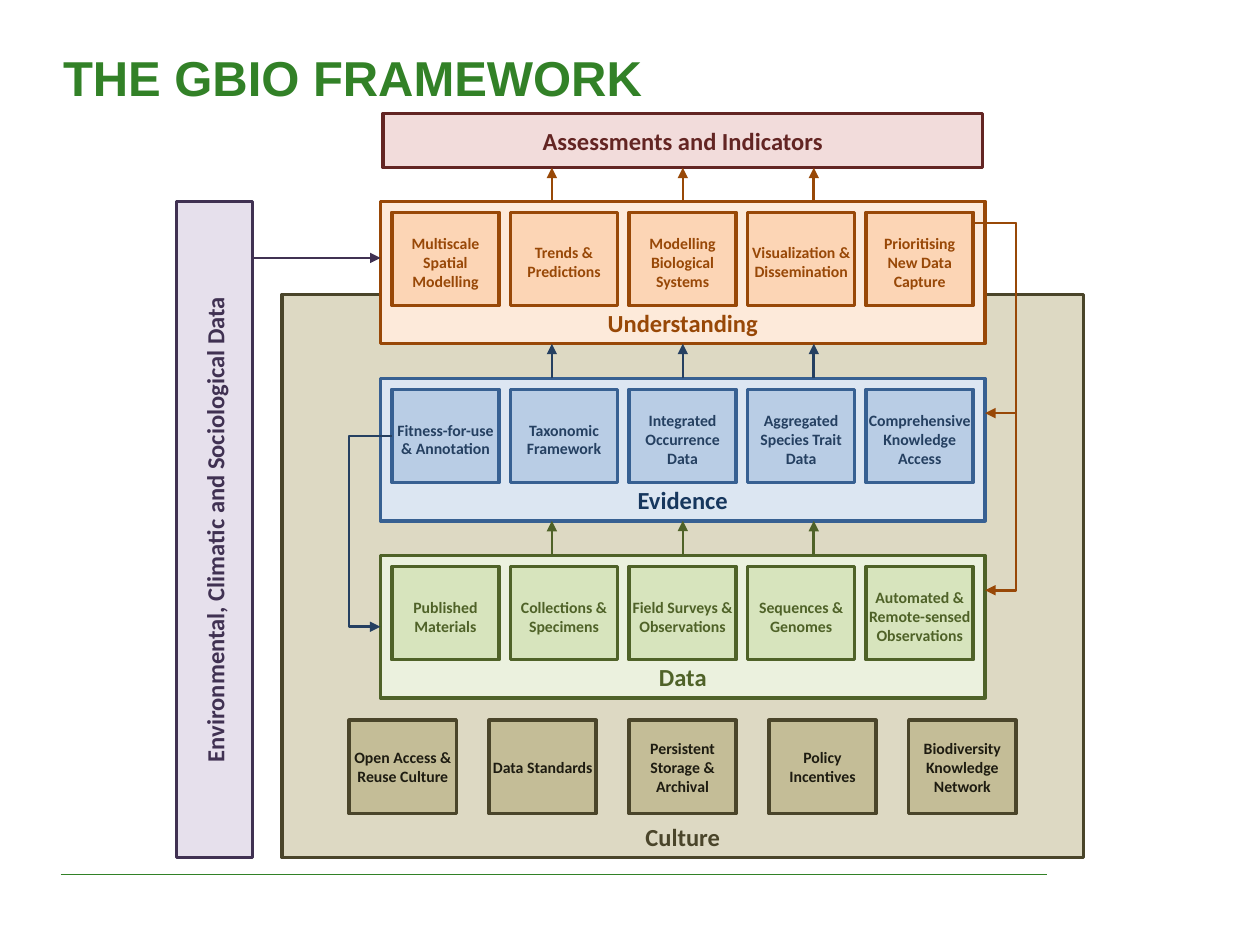
from dataclasses import dataclass

from lxml import etree
from pptx import Presentation
from pptx.dml.color import RGBColor
from pptx.enum.shapes import MSO_CONNECTOR, MSO_SHAPE
from pptx.enum.text import MSO_ANCHOR, PP_ALIGN
from pptx.oxml.ns import qn
from pptx.util import Cm, Pt

RECTANGLE = MSO_SHAPE.RECTANGLE
STRAIGHT, ELBOW = MSO_CONNECTOR.STRAIGHT, MSO_CONNECTOR.ELBOW
LEFT, CENTER = PP_ALIGN.LEFT, PP_ALIGN.CENTER
MIDDLE, BOTTOM = MSO_ANCHOR.MIDDLE, MSO_ANCHOR.BOTTOM
SITE_TOP, SITE_LEFT, SITE_BOTTOM = 0, 1, 2


@dataclass(frozen=True)
class Palette:
    panel: str
    card: str
    line: str
    label: str
    card_text: str


@dataclass(frozen=True)
class Theme:
    title_font: str = "Arial"
    body_font: str = "Calibri"
    title_size: float = 28
    label_size: float = 14
    card_size: float = 9
    box_line: float = 2
    arrow_line: float = 1.5
    rule_line: float = 0.25
    green: str = "328127"
    understanding: Palette = Palette("FDEADA", "FCD5B5", "984807", "984807", "984807")
    evidence: Palette = Palette("DCE6F2", "B9CDE5", "376092", "17375E", "254061")
    data: Palette = Palette("EBF1DE", "D7E4BD", "4F6228", "4F6228", "4F6228")
    culture: Palette = Palette("DDD9C3", "C4BD97", "4A452A", "4A452A", "1E1C11")
    assessments: Palette = Palette("F2DCDB", "F2DCDB", "632523", "632523", "632523")
    environment: Palette = Palette("E6E0EC", "E6E0EC", "403152", "403152", "403152")


class Diagram:
    """Draws on one slide in one theme; every length is in centimetres."""

    def __init__(self, slide, theme):
        self.slide = slide
        self.theme = theme

    def title(self, text, left, top, width, height):
        shape = self.slide.shapes.title
        shape.left, shape.top, shape.width, shape.height = map(Cm, (left, top, width, height))
        self._write(shape, text, self.theme.title_size, self.theme.green, MIDDLE,
                    (1.27, 0.13, 0, 0.13), self.theme.title_font, LEFT)

    def panel(self, text, palette, left, top, width, height, anchor=BOTTOM, vertical=False):
        shape = self._box(palette.panel, palette.line, left, top, width, height)
        inset = 0.13 if anchor == BOTTOM else 0
        self._write(shape, text, self.theme.label_size, palette.label, anchor,
                    (0.03, inset, 0.03, inset))
        if vertical:
            shape.element.txBody.bodyPr.set("vert", "vert270")
        return shape

    def cards(self, texts, palette, left, top, pitch, top_inset=0.13):
        row = []
        for index, text in enumerate(texts):
            shape = self._box(palette.card, palette.line, left + index * pitch, top,
                              CARD_WIDTH, CARD_HEIGHT)
            self._write(shape, text, self.theme.card_size, palette.card_text, MIDDLE,
                        (0.03, top_inset, 0.03, 0))
            row.append(shape)
        return row

    def line(self, start, end, color, width, kind=STRAIGHT, arrow=True):
        connector = self.slide.shapes.add_connector(kind, *map(Cm, start + end))
        connector.line.color.rgb = RGBColor.from_string(color)
        connector.line.width = Pt(width)
        properties = connector.element.spPr
        if arrow:
            etree.SubElement(properties.get_or_add_ln(), qn("a:tailEnd"), type="triangle")
        etree.SubElement(properties, qn("a:effectLst"))
        return connector

    def arrow(self, start, end, color):
        return self.line(start, end, color, self.theme.arrow_line)

    def elbow(self, start, end, bend_x, color):
        connector = self.line(start, end, color, self.theme.arrow_line, ELBOW)
        bend = round(100000 * (bend_x - start[0]) / (end[0] - start[0]))
        guides = connector.element.spPr.find(qn("a:prstGeom")).find(qn("a:avLst"))
        etree.SubElement(guides, qn("a:gd"), name="adj1", fmla=f"val {bend}")
        return connector

    def rising_arrows(self, lower, upper, start_y, end_y, color):
        for offset in (-ARROW_PITCH, 0, ARROW_PITCH):
            x = CENTER_X + offset
            connector = self.arrow((x, start_y), (x, end_y), color)
            if offset == 0:
                connector.begin_connect(lower, SITE_TOP)
                connector.end_connect(upper, SITE_BOTTOM)

    def _box(self, fill, line, left, top, width, height):
        shape = self.slide.shapes.add_shape(RECTANGLE, *map(Cm, (left, top, width, height)))
        shape.shadow.inherit = False
        shape.fill.solid()
        shape.fill.fore_color.rgb = RGBColor.from_string(fill)
        shape.line.color.rgb = RGBColor.from_string(line)
        shape.line.width = Pt(self.theme.box_line)
        return shape

    def _write(self, shape, text, size, color, anchor, insets, font=None, align=CENTER):
        frame = shape.text_frame
        frame.word_wrap = True
        frame.vertical_anchor = anchor
        (frame.margin_left, frame.margin_top,
         frame.margin_right, frame.margin_bottom) = map(Cm, insets)
        frame.text = text
        paragraph = frame.paragraphs[0]
        paragraph.alignment = align
        paragraph.font.name = font or self.theme.body_font
        paragraph.font.size = Pt(size)
        paragraph.font.bold = True
        paragraph.font.color.rgb = RGBColor.from_string(color)


# Grid, in centimetres
CARD_WIDTH, CARD_HEIGHT = 2.16, 1.88
PANEL_LEFT, PANEL_WIDTH, PANEL_HEIGHT = 7.67, 12.19, 2.87
PANEL_RIGHT = PANEL_LEFT + PANEL_WIDTH
CENTER_X = PANEL_LEFT + PANEL_WIDTH / 2
FIRST_TOP, PANEL_PITCH = 4.06, 3.57
UNDERSTANDING_TOP, EVIDENCE_TOP, DATA_TOP = (FIRST_TOP + i * PANEL_PITCH for i in range(3))
CARD_LEFT, CARD_PITCH, CARD_DROP = 7.9, 2.39, 0.22
CARD_RIGHT = CARD_LEFT + 4 * CARD_PITCH + CARD_WIDTH
CULTURE_LEFT, CULTURE_PITCH = 7.04, 2.82
CULTURE_RIGHT = CULTURE_LEFT + 4 * CULTURE_PITCH + CARD_WIDTH
ASSESSMENTS_TOP, ASSESSMENTS_HEIGHT = 2.29, 1.09
ARROW_PITCH = 2.64

LAYERS = {
    "Evidence": (EVIDENCE_TOP, [
        "Fitness-for-use & Annotation", "Taxonomic Framework", "Integrated Occurrence Data",
        "Aggregated Species Trait Data", "Comprehensive Knowledge Access"]),
    "Understanding": (UNDERSTANDING_TOP, [
        "Multiscale Spatial Modelling", "Trends & Predictions", "Modelling Biological Systems",
        "Visualization & Dissemination", "Prioritising New Data Capture"]),
    "Data": (DATA_TOP, [
        "Published Materials", "Collections & Specimens", "Field Surveys & Observations",
        "Sequences & Genomes", "Automated & Remote-sensed Observations"]),
}
CULTURE_CARDS = ["Open Access & Reuse Culture", "Data Standards", "Persistent Storage & Archival",
                 "Policy Incentives", "Biodiversity Knowledge Network"]


def main():
    presentation = Presentation()
    presentation.slide_width, presentation.slide_height = Cm(25.4), Cm(19.05)
    theme = Theme()
    slide = presentation.slides.add_slide(presentation.slide_layouts[5])
    diagram = Diagram(slide, theme)

    # Title and footer rule
    diagram.title("THE GBIO FRAMEWORK", 0, 0.76, 25.4, 1.57)
    diagram.line((1.22, 17.63), (21.11, 17.63), theme.green, theme.rule_line, arrow=False)

    # Culture backdrop and the three layers
    diagram.panel("Culture", theme.culture, 5.69, 5.94, 16.15, 11.35)
    panels, rows = {}, {}
    for name, (top, texts) in LAYERS.items():
        palette = getattr(theme, name.lower())
        panels[name] = diagram.panel(name, palette, PANEL_LEFT, top, PANEL_WIDTH, PANEL_HEIGHT)
        rows[name] = diagram.cards(texts, palette, CARD_LEFT, top + CARD_DROP, CARD_PITCH)

    # Feedback from prioritising to the lower layers
    for top in (DATA_TOP, EVIDENCE_TOP):
        diagram.elbow((CARD_RIGHT, UNDERSTANDING_TOP + 0.44), (PANEL_RIGHT, top + 0.7),
                      CULTURE_RIGHT, theme.understanding.line)

    # Feedback from fitness-for-use to the data
    feedback = diagram.elbow(
        (CARD_LEFT, EVIDENCE_TOP + CARD_DROP + CARD_HEIGHT / 2),
        (PANEL_LEFT, DATA_TOP + PANEL_HEIGHT / 2), CULTURE_LEFT, theme.evidence.card_text)
    feedback.begin_connect(rows["Evidence"][0], SITE_LEFT)
    feedback.end_connect(panels["Data"], SITE_LEFT)

    # Assessments and the arrows that rise between layers
    assessments = diagram.panel("Assessments and Indicators", theme.assessments, 7.72,
                                ASSESSMENTS_TOP, 12.09, ASSESSMENTS_HEIGHT, MIDDLE)
    stack = [
        (panels["Data"], panels["Evidence"], DATA_TOP, EVIDENCE_TOP + PANEL_HEIGHT, theme.data),
        (panels["Evidence"], panels["Understanding"], EVIDENCE_TOP,
         UNDERSTANDING_TOP + PANEL_HEIGHT, theme.evidence),
        (panels["Understanding"], assessments, UNDERSTANDING_TOP,
         ASSESSMENTS_TOP + ASSESSMENTS_HEIGHT, theme.understanding),
    ]
    for lower, upper, start_y, end_y, palette in stack:
        diagram.rising_arrows(lower, upper, start_y, end_y, palette.card_text)

    # Environmental data feeding in from the side
    diagram.panel("Environmental, Climatic and Sociological Data", theme.environment,
                  3.56, FIRST_TOP, 1.53, 13.23, MIDDLE, vertical=True)
    diagram.arrow((5.09, 5.2), (PANEL_LEFT, 5.2), theme.environment.line)

    # Culture cards
    diagram.cards(CULTURE_CARDS, theme.culture, CULTURE_LEFT, 14.52, CULTURE_PITCH, top_inset=0)

    presentation.save("out.pptx")


if __name__ == "__main__":
    main()
